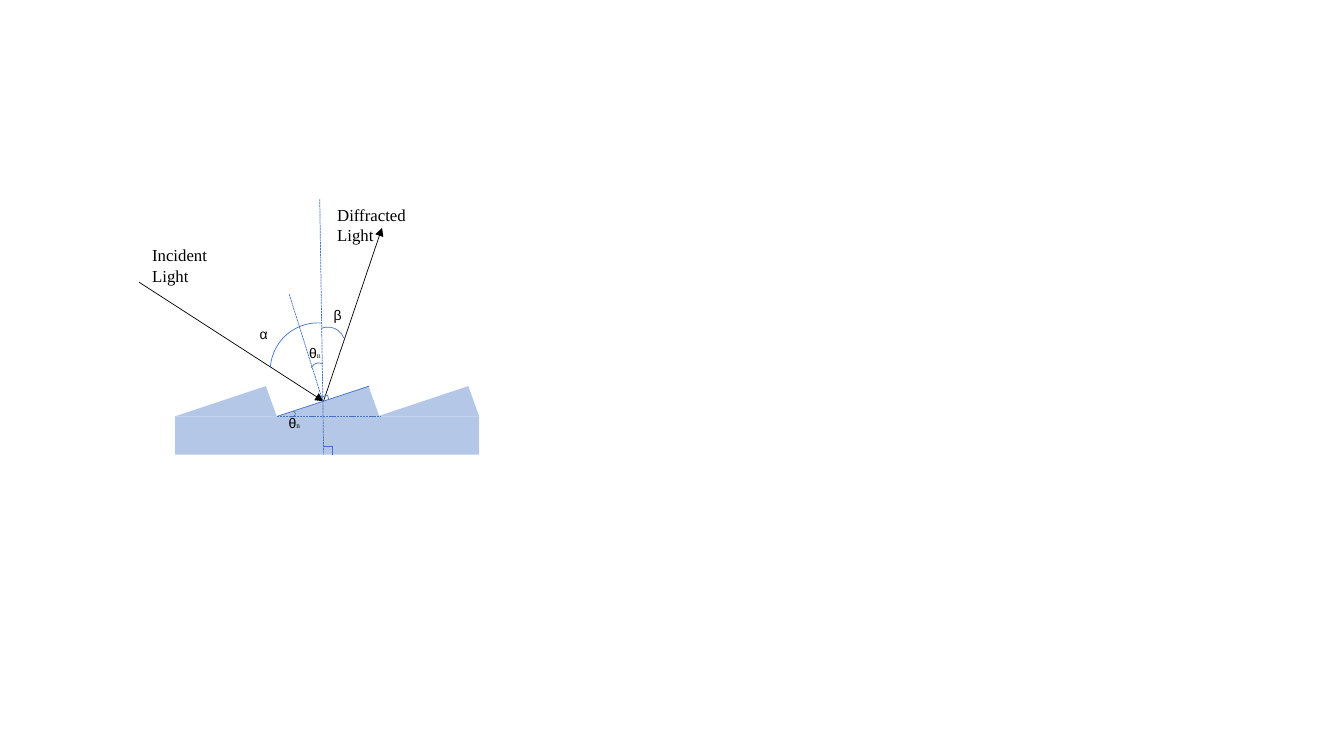
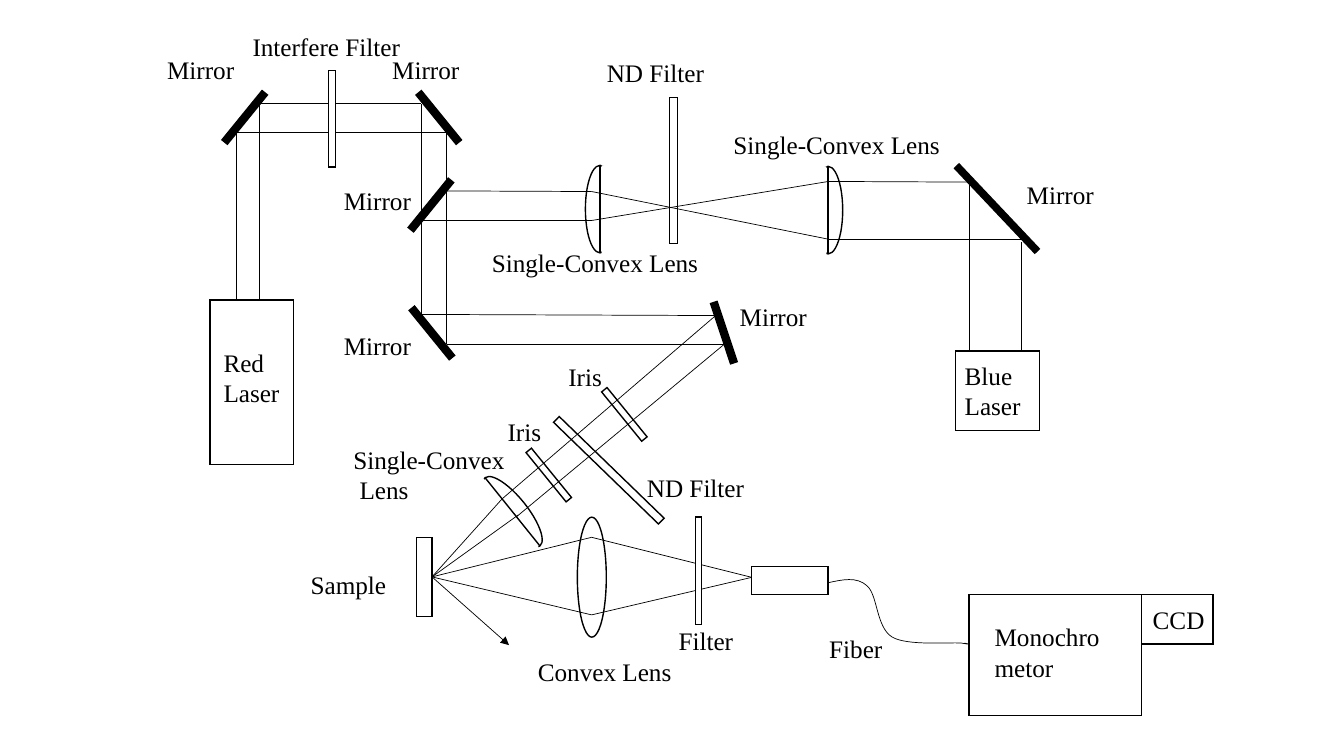
from dataclasses import dataclass
from itertools import pairwise
from math import cos, radians, sin
from typing import NamedTuple

from pptx import Presentation
from pptx.dml.color import RGBColor as Rgb
from pptx.enum.dml import MSO_LINE as Dash
from pptx.enum.shapes import MSO_CONNECTOR as Wire, MSO_SHAPE as Form
from pptx.enum.text import MSO_AUTO_SIZE as Fit
from pptx.oxml.ns import qn
from pptx.oxml.xmlchemy import OxmlElement as Node
from pptx.shapes.base import BaseShape as Shape
from pptx.slide import Slide
from pptx.util import Pt


@dataclass(frozen=True)
class Theme:
    black: Rgb = Rgb(0, 0, 0)
    white: Rgb = Rgb(255, 255, 255)
    blue: Rgb = Rgb(0x44, 0x72, 0xC4)
    pale: Rgb = Rgb(0xB4, 0xC7, 0xE7)
    serif: str = "Times New Roman"
    sans: str = "Arial"
    large: float = 18
    small: float = 12
    greek: float = 10
    tiny: float = 4
    thin: float = 0.5
    bold: float = 1


T = Theme()


class Spot(NamedTuple):
    """A point, glued to a side of a shape when one is given."""
    x: float
    y: float
    shape: Shape | None = None
    side: int = 0


class Label(NamedTuple):
    text: str
    x: float
    y: float
    width: float = 100


class Box(NamedTuple):
    x: float
    y: float
    w: float
    h: float


class Arc(NamedTuple):
    box: Box
    turn: float = 0
    stop: float = 0


class Bar(NamedTuple):
    """A thin plate, placed by its centre."""
    x: float
    y: float
    turn: float = 0
    w: float = 5
    h: float = 45.4


class Lens(NamedTuple):
    """A half ellipse that bulges left before its turn."""
    x: float
    y: float
    turn: float = 0


def paint(shape: Shape, fill: Rgb | None, line: Rgb | None, width: float) -> None:
    shape.shadow.inherit = False
    if fill is None:
        shape.fill.background()
    else:
        shape.fill.solid()
        shape.fill.fore_color.rgb = fill
    if line is None:
        shape.line.fill.background()
        return
    shape.line.color.rgb = line
    shape.line.width = Pt(width)
    join = Node("a:miter")
    join.set("lim", "800000")
    shape._element.spPr.find(qn("a:ln")).append(join)


def draw(slide: Slide, form: Form, box: Box, fill: Rgb | None = T.white,
         line: Rgb | None = T.black, width: float = T.bold,
         turn: float = 0) -> Shape:
    shape = slide.shapes.add_shape(form, *map(Pt, box))
    shape.rotation = turn
    paint(shape, fill, line, width)
    return shape


def plate(slide: Slide, bar: Bar, fill: Rgb = T.white,
          line: Rgb | None = T.black, form: Form = Form.RECTANGLE) -> None:
    box = Box(bar.x - bar.w / 2, bar.y - bar.h / 2, bar.w, bar.h)
    draw(slide, form, box, fill, line, turn=bar.turn)


def grind(slide: Slide, lens: Lens, high: float = 62.6) -> None:
    """Draw a plano-convex lens: an ellipse, its chord and a half hidden."""
    x, y, turn = lens
    c, s = cos(radians(turn)), sin(radians(turn))
    dx, dy = s * high / 2, c * high / 2
    plate(slide, Bar(x, y, turn, 20.9, high), form=Form.OVAL)
    ray(slide, (x + dx, y - dy), (x - dx, y + dy), width=T.bold)
    plate(slide, Bar(x + 10.2 * c, y + 10.2 * s, turn, 18, high), line=None)


def curve(slide: Slide, knots: list[tuple[float, float]]) -> None:
    """Draw cubic curves: a start, then three knots for each."""
    dots = [(Pt(x), Pt(y)) for x, y in knots]
    pen = slide.shapes.build_freeform(*dots[0])
    pen.add_line_segments(dots[1:], close=False)
    shape = pen.convert_to_shape()
    paint(shape, None, T.black, T.thin)
    legs = list(shape._element.iter(qn("a:lnTo")))
    for i in range(0, len(legs), 3):
        cubic = Node("a:cubicBezTo")
        legs[i].addprevious(cubic)
        for leg in legs[i:i + 3]:
            cubic.append(leg[0])
            leg.getparent().remove(leg)


def mid(shape: Shape, side: int) -> Spot:
    """Middle of the left (1) or right (3) side."""
    x = shape.left + (shape.width if side == 3 else 0)
    return Spot(x / Pt(1), (shape.top + shape.height / 2) / Pt(1), shape, side)


def ray(slide: Slide, *stops: tuple, color: Rgb = T.black, dash: bool = False,
        arrow: bool = False, width: float = T.thin) -> None:
    """Draw straight connectors from stop to stop."""
    for a, b in pairwise(Spot(*s) for s in stops):
        wire = slide.shapes.add_connector(
            Wire.STRAIGHT, Pt(a.x), Pt(a.y), Pt(b.x), Pt(b.y))
        if a.shape is not None:
            wire.begin_connect(a.shape, a.side)
        if b.shape is not None:
            wire.end_connect(b.shape, b.side)
        wire.line.color.rgb = color
        wire.line.width = Pt(width)
        if dash:
            wire.line.dash_style = Dash.SQUARE_DOT
        props = wire._element.spPr
        if arrow:
            tip = Node("a:tailEnd")
            tip.set("type", "triangle")
            props.find(qn("a:ln")).append(tip)
        props.append(Node("a:effectLst"))


def write(slide: Slide, label: Label, size: float = T.large,
          font: str = T.serif, sub: str = "") -> None:
    """Add a label; sub is a tiny suffix."""
    lines = label.text.split("\n")
    high = 7.2 + 1.2 * size * len(lines)
    box = slide.shapes.add_textbox(
        Pt(label.x), Pt(label.y), Pt(label.width), Pt(high))
    frame = box.text_frame
    frame.word_wrap = True
    frame.auto_size = Fit.SHAPE_TO_FIT_TEXT
    for i, line in enumerate(lines):
        para = frame.add_paragraph() if i else frame.paragraphs[0]
        parts = [(line, size, font)]
        if sub:
            parts.append((sub, T.tiny, T.serif))
        for text, points, face in parts:
            run = para.add_run()
            run.text = text
            run.font.size = Pt(points)
            run.font.name = face
            run.font.color.rgb = T.black


def grating(slide: Slide) -> None:
    left, top = 125.1, 297.4
    draw(slide, Form.RECTANGLE, Box(left, top, 217.2, 27.4), T.pale, None)
    for x in (left, 198.4, 269.7):
        box = Box(x, top - 21.6, 72.6, 21.6)
        tooth = draw(slide, Form.ISOSCELES_TRIANGLE, box, T.pale, None)
        tooth.adjustments[0] = 0.893

    hit = (231.1, 286.6)
    ray(slide, (99.4, 201.6), hit, arrow=True)
    ray(slide, hit, (272.9, 162.7), arrow=True)
    for ends in (
        ((228.4, 142.4), (231.2, 324.7)),
        ((206.6, 210.2), (230.6, 286.6)),
        ((198, top), (271.6, top)),
    ):
        ray(slide, *ends, color=T.blue, dash=True)
    for stops in (
        ((198, top), (263.8, 275.8)),
        ((229.7, 283.7), (234, 282.2), (234.7, 285.1)),
        ((237.6, 324.7), (237.6, 318.5), (231.1, 318.5)),
    ):
        ray(slide, *stops, color=T.blue)
    for arc in (
        Arc(Box(207.4, 293.8, 3.6, 3.6), stop=47.69),
        Arc(Box(222.7, 258.5, 11.5, 13), 291.7),
        Arc(Box(193, 230.6, 68.4, 68.4), 274.5),
        Arc(Box(222, 233.6, 24.5, 24.5), 338),
    ):
        shape = draw(slide, Form.ARC, arc.box, None, T.blue, T.thin, arc.turn)
        shape.adjustments[1] = arc.stop

    for label in (Label("θ", 199.2, 292.3), Label("θ", 213.8, 242.6)):
        write(slide, label, size=T.greek, font=T.sans, sub="B")
    for label in (Label("α", 178.4, 229), Label("β", 231.3, 215.3)):
        write(slide, label, size=T.greek, font=T.sans)
    for label in (Label("Incident\nLight", 101.6, 171.6),
                  Label("Diffracted\nLight", 233.8, 142.6)):
        write(slide, label, size=T.small)


def optics(slide: Slide) -> None:
    for lens in (Lens(366.1, 365.6, 141.2), Lens(591.5, 150.1, 180),
                 Lens(428.6, 149.4)):
        grind(slide, lens)
    for bar in (
        Bar(434.9, 335.9, 314.1, 5.8, 104.4),
        Bar(481, 121.8, 0, 5.8, 104.4),
        Bar(392, 339.3, 320.9),
        Bar(446, 296, 320.9),
    ):
        plate(slide, bar)
    sample, *_ = [draw(slide, Form.RECTANGLE, box) for box in (
        Box(297.6, 383.8, 11, 56.6),
        Box(536.9, 404.6, 54.7, 20.2),
        Box(150, 214.4, 59.8, 117.2),
        Box(682.6, 250.6, 59.8, 56.9),
        Box(692.2, 424.8, 123.1, 86.4),
        Box(815.3, 424.8, 51.1, 35.3),
    )]
    draw(slide, Form.OVAL, Box(412.4, 369.4, 20.7, 85.7))

    spot, port = mid(sample, 3), (537, 412.4)
    for stops in (
        ((185.5, 214.6), (185.5, 74.2), (301, 74.2), (301, 224.6),
         (511.2, 225.4), (358.6, 356.4), spot),
        ((168.7, 214.6), (168.7, 94.4), (319, 94.4), (319, 245.8),
         (519, 245.8)),
        ((517, 246.2), (368.6, 369.4)),
        ((370.1, 367.9), spot),
        ((692.2, 250.6), (692.2, 130.3)),
        ((695.5, 130.1), (591.8, 129.6), (422.6, 157.5), (301, 157.5)),
        ((729.6, 250.6), (729.6, 172.8)),
        ((730.8, 170.9), (591.8, 170.9), (422.6, 136.8), (319, 136.4)),
        (spot, (422.6, 383.8), port),
        (spot, (422.6, 439.2), port),
    ):
        ray(slide, *stops)
    ray(slide, spot, (363.6, 460.8), arrow=True)
    curve(slide, [
        (591.8, 416.2), (601.9, 414), (612, 411.8), (619.2, 418.3),
        (627.1, 424.8), (625.7, 447.8), (637.2, 455),
        (648, 461.5), (678.2, 458.6), (686.9, 459.4),
        (695.5, 460.8), (691.9, 460.1), (689, 459.4)])

    for bar in (
        Bar(174.8, 83.9, 39.1), Bar(313.4, 83.9, 320.9),
        Bar(307.8, 146.5, 39.1), Bar(308.5, 237.8, 320.9),
        Bar(517.1, 237.6, 341.6), Bar(712.1, 149, 316.6, 4.5, 83.5),
    ):
        plate(slide, bar, T.black)
    plate(slide, Bar(499, 407.7, 0, 4.5, 77))
    plate(slide, Bar(237.2, 84.9, 0, 5, 69.1))

    for x, y in ((273.1, 35.3), (112.3, 35.3), (238.5, 128.9),
                 (238.5, 232.6), (521.3, 211.7), (726.3, 124.6)):
        write(slide, Label("Mirror", x, y))
    for label in (
        Label("Interfere Filter", 173.3, 19.1, 136),
        Label("ND Filter", 426.4, 37.4),
        Label("ND Filter", 455, 333.7),
        Label("Filter", 477.6, 442.8),
        Label("Single-Convex Lens", 516.8, 89, 178),
        Label("Single-Convex Lens", 344.2, 172.8, 178),
        Label("Single-Convex\n Lens", 245.3, 313.6, 178),
        Label("Convex Lens", 377.1, 465.1, 136),
        Label("Iris", 398.9, 254.2),
        Label("Iris", 355.5, 293.8),
        Label("Sample", 214.8, 403.2),
        Label("Fiber", 585.2, 448.6),
        Label("Red\nLaser", 152.6, 244.4),
        Label("Blue\nLaser", 682, 253.9),
        Label("Monochro\nmetor", 703.4, 440.6),
        Label("CCD", 816.3, 428),
    ):
        write(slide, label)


def main() -> None:
    deck = Presentation()
    deck.slide_width, deck.slide_height = Pt(960), Pt(540)
    blank = deck.slide_layouts[6]
    for build in (grating, optics):
        build(deck.slides.add_slide(blank))
    deck.save("out.pptx")


if __name__ == "__main__":
    main()
